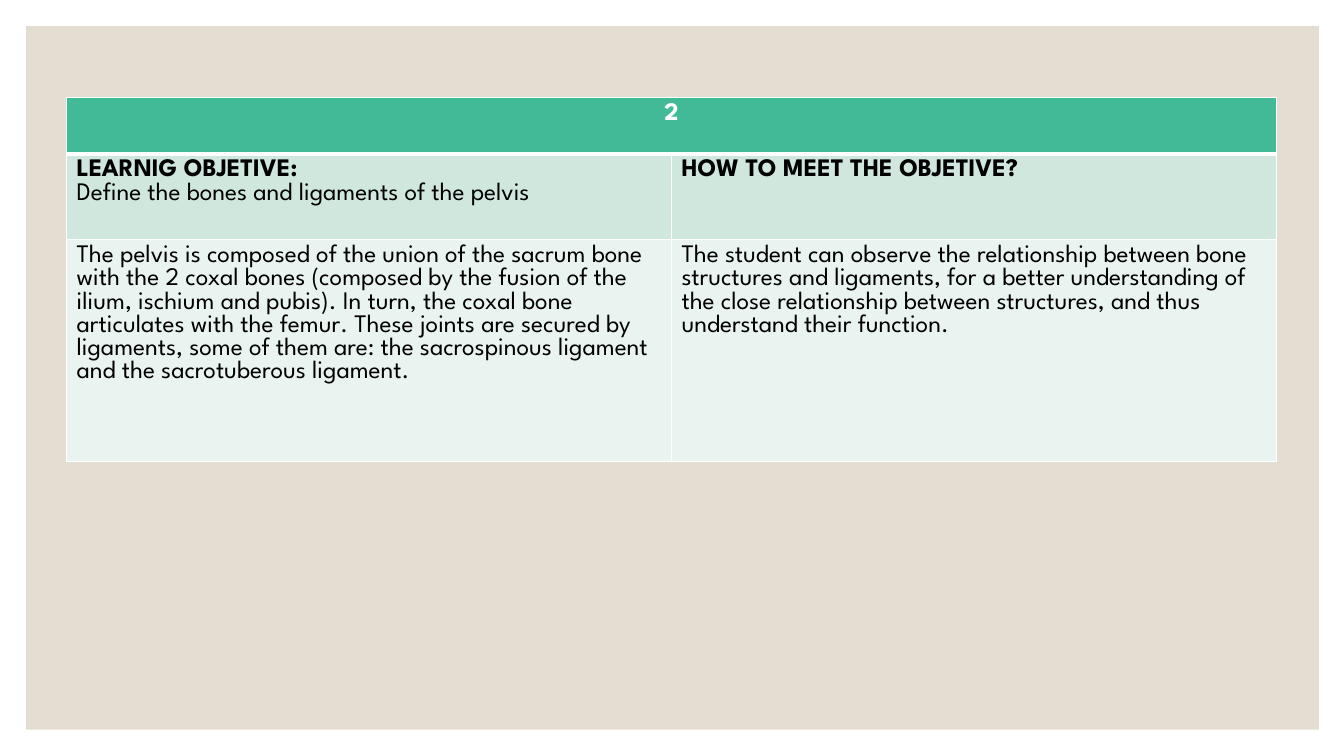
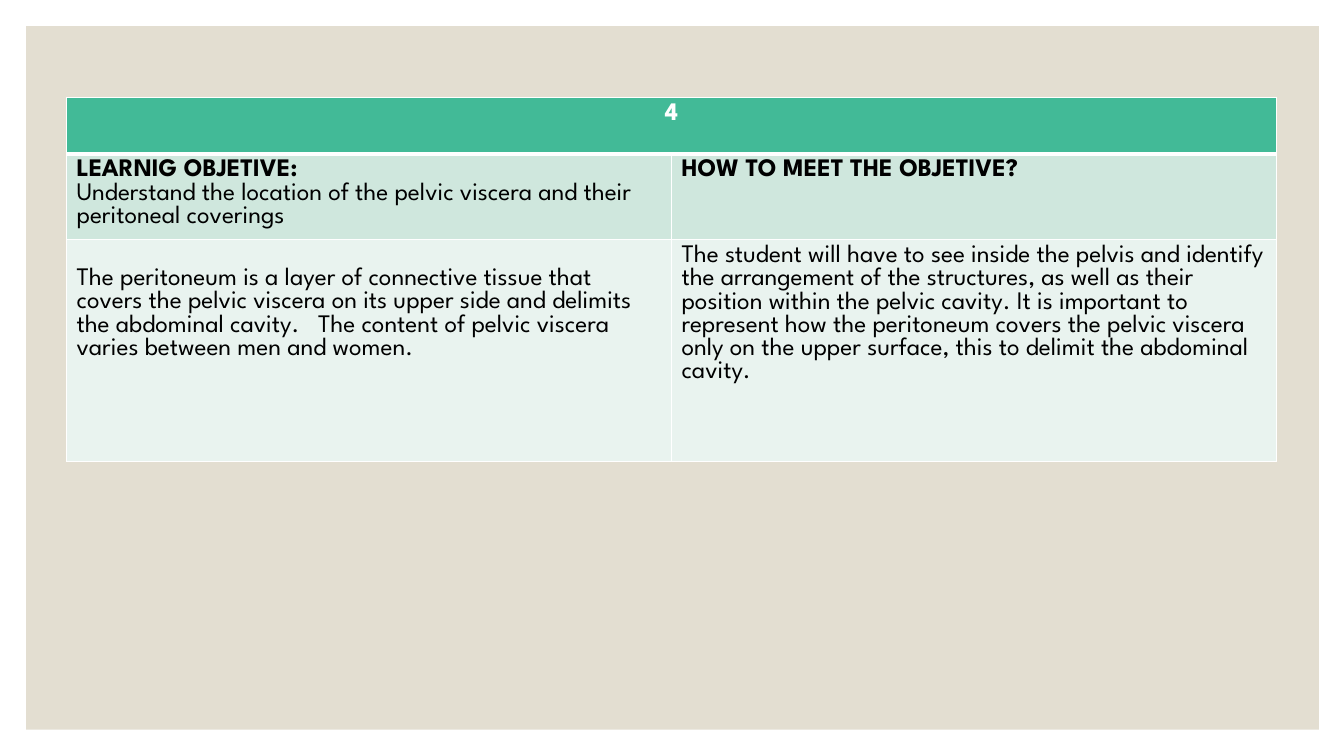
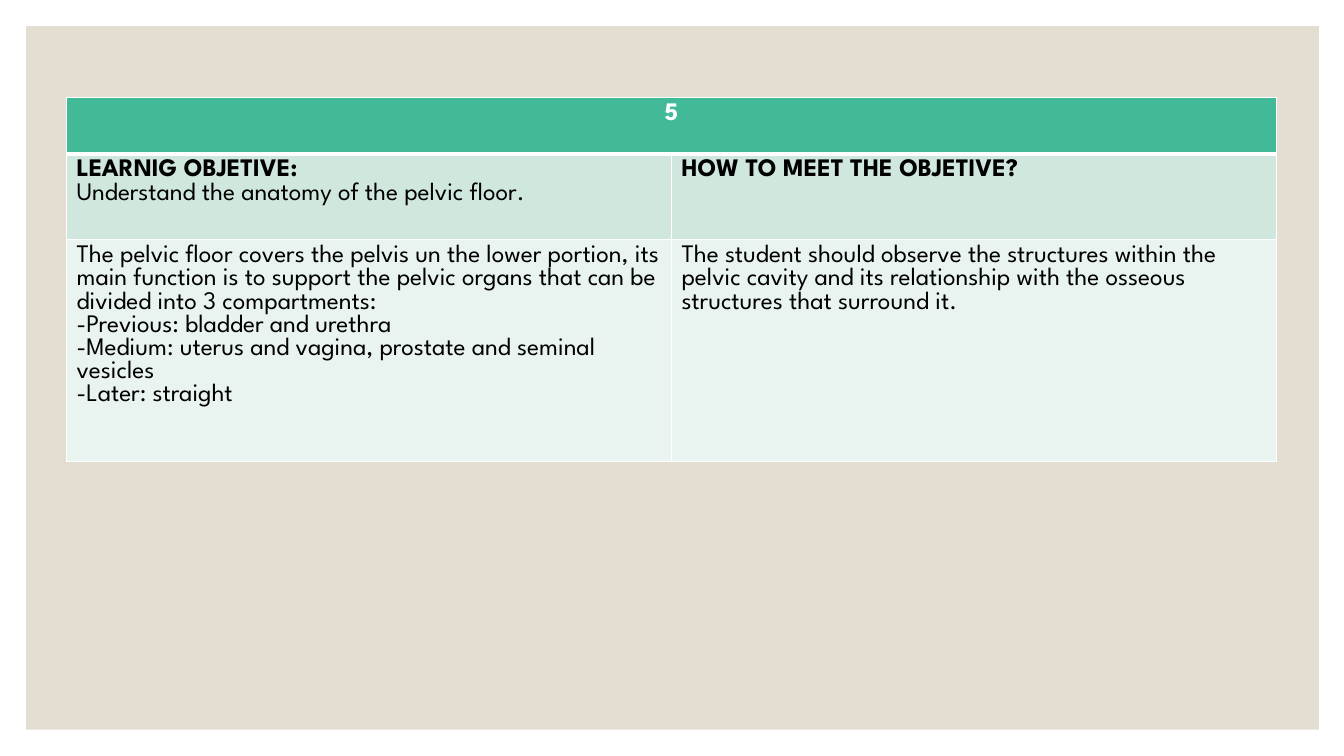
from lxml.etree import SubElement
from pptx import Presentation
from pptx.dml.color import RGBColor
from pptx.enum.shapes import MSO_SHAPE
from pptx.enum.text import PP_ALIGN
from pptx.oxml.ns import qn
from pptx.util import Inches, Pt

OBJECTIVES = [
    {
        "number": "2",
        "objective": "Define the bones and ligaments of the pelvis",
        "summary": [
            "The pelvis is composed of the union of the sacrum bone with the 2 coxal bones "
            "(composed by the fusion of the ilium, ischium and pubis). In turn, the coxal bone "
            "articulates with the femur. These joints are secured by ligaments, some of them "
            "are: the sacrospinous ligament and the sacrotuberous ligament.",
        ],
        "method": "The student can observe the relationship between bone structures and "
                  "ligaments, for a better understanding of the close relationship between "
                  "structures, and thus understand their function.",
    },
    {
        "number": "4",
        "objective": "Understand the location of the pelvic viscera and their peritoneal coverings",
        "summary": [
            "The peritoneum is a layer of connective tissue that covers the pelvic viscera on "
            "its upper side and delimits the abdominal cavity.   The content of pelvic viscera "
            "varies between men and women.",
        ],
        "summary_top": 0.28,
        "method": "The student will have to see inside the pelvis and identify the arrangement "
                  "of the structures, as well as their position within the pelvic cavity. It is "
                  "important to represent how the peritoneum covers the pelvic viscera only on "
                  "the upper surface, this to delimit the abdominal cavity.",
    },
    {
        "number": "5",
        "objective": "Understand the anatomy of the pelvic floor.",
        "summary": [
            "The pelvic floor covers the pelvis un the lower portion, its main function is to "
            "support the pelvic organs that can be divided into 3 compartments:",
            "-Previous: bladder and urethra",
            "-Medium: uterus and vagina, prostate and seminal vesicles",
            "-Later: straight",
        ],
        "method": "The student should observe the structures within the pelvic cavity and its "
                  "relationship with the osseous structures that surround it.",
    },
]

COLORS = {"panel": "E3DED1", "header": "42BA97", "heading": "CFE7DD", "body": "E9F3EF",
          "white": "FFFFFF", "black": "000000"}
FONT = {"name": "League Spartan", "size": Pt(18)}
ROWS = [("header", 0.56), ("heading", 0.85), ("body", 2.2)]
COLUMN_WIDTH = 6
THIN, THICK = 1, 3


def color(name):
    return RGBColor.from_string(COLORS[name])


def add_panel(slide):
    panel = slide.shapes.add_shape(MSO_SHAPE.RECTANGLE, Inches(0.26), Inches(0.26),
                                   Inches(12.82), Inches(6.98))
    panel.shadow.inherit = False
    panel.fill.solid()
    panel.fill.fore_color.rgb = color("panel")
    panel.line.fill.background()


def set_borders(cell, widths):
    """Put white borders before the cell's fill; widths are points by side."""
    properties = cell._tc.get_or_add_tcPr()
    for position, (side, width) in enumerate(widths.items()):
        line = SubElement(properties, qn(f"a:ln{side}"), w=str(Pt(width)))
        fill = SubElement(line, qn("a:solidFill"))
        SubElement(fill, qn("a:srgbClr"), val=COLORS["white"])
        properties.insert(position, line)


def write_cell(cell, lines, ink="black", align=PP_ALIGN.LEFT):
    """Write one paragraph for each (text, bold) pair."""
    frame = cell.text_frame
    for index, (text, bold) in enumerate(lines):
        para = frame.add_paragraph() if index else frame.paragraphs[0]
        para.alignment = align
        span = para.add_run()
        span.text = text
        for attribute, value in {**FONT, "bold": bold}.items():
            setattr(span.font, attribute, value)
        span.font.color.rgb = color(ink)


def add_objective_table(slide, item):
    height = sum(row_height for _, row_height in ROWS)
    table = slide.shapes.add_table(len(ROWS), 2, Inches(0.66), Inches(0.97),
                                   Inches(2 * COLUMN_WIDTH), Inches(height)).table
    table.first_row = table.horz_banding = False
    for column in table.columns:
        column.width = Inches(COLUMN_WIDTH)
    for index, (fill, row_height) in enumerate(ROWS):
        table.rows[index].height = Inches(row_height)
        for cell in table.rows[index].cells:
            cell.fill.solid()
            cell.fill.fore_color.rgb = color(fill)
            set_borders(cell, {"L": THIN, "R": THIN,
                               "T": THICK if index == 1 else THIN,
                               "B": THICK if index == 0 else THIN})

    table.cell(0, 0).merge(table.cell(0, 1))
    write_cell(table.cell(0, 0), [(item["number"], True)], "white", PP_ALIGN.CENTER)
    write_cell(table.cell(1, 0), [("LEARNIG OBJETIVE:", True), (item["objective"], False)])
    write_cell(table.cell(1, 1), [("HOW TO MEET THE OBJETIVE?", True)])
    write_cell(table.cell(2, 0), [(text, False) for text in item["summary"]])
    write_cell(table.cell(2, 1), [(item["method"], False)])
    table.cell(2, 0).margin_top = Inches(item.get("summary_top", 0.05))


def main():
    deck = Presentation()
    deck.slide_width, deck.slide_height = Inches(13.33), Inches(7.5)
    blank = deck.slide_layouts.get_by_name("Blank")
    for item in OBJECTIVES:
        slide = deck.slides.add_slide(blank)
        add_panel(slide)
        add_objective_table(slide, item)
    deck.save("out.pptx")


if __name__ == "__main__":
    main()
